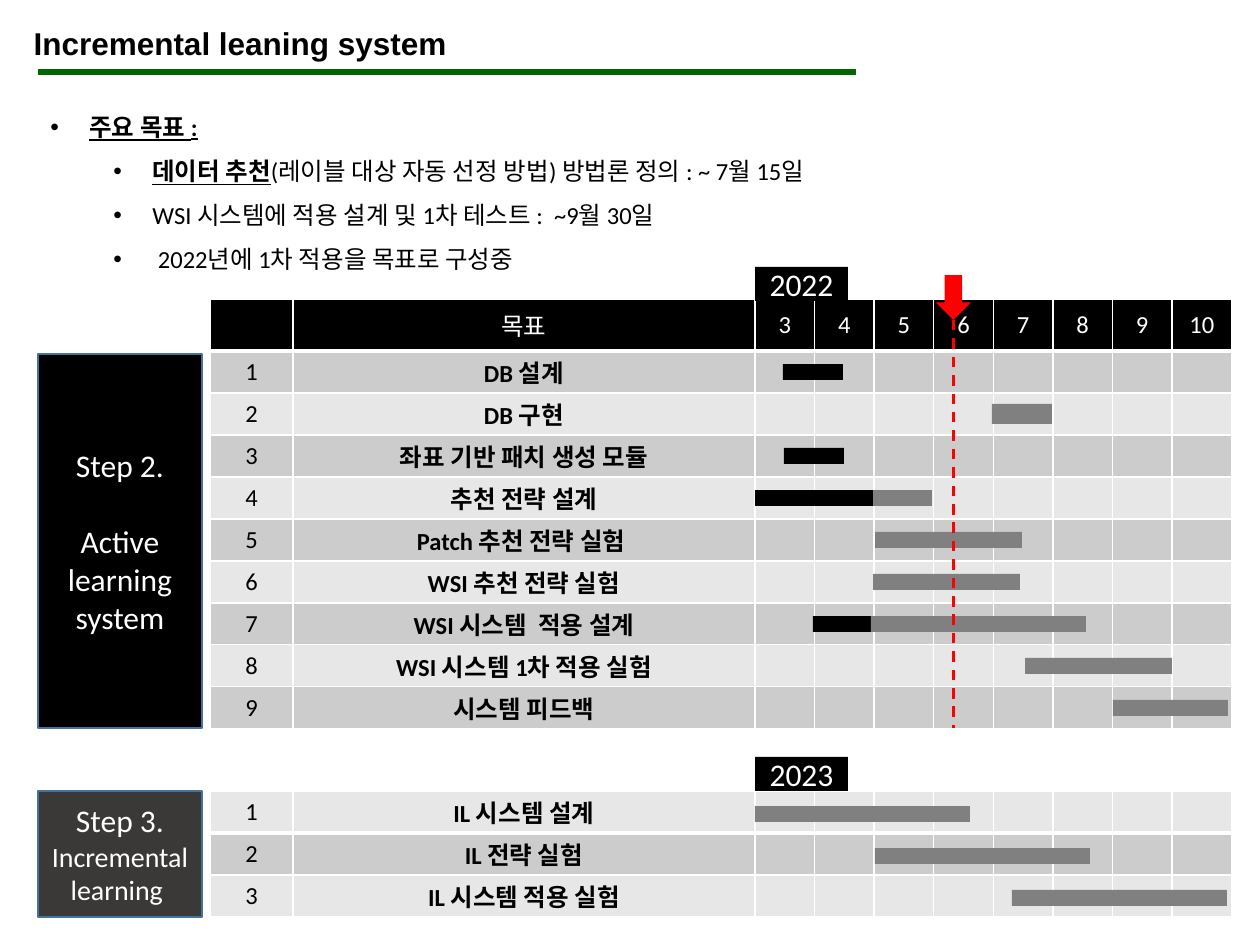
from dataclasses import dataclass

from lxml import etree
from pptx import Presentation
from pptx.dml.color import RGBColor
from pptx.enum.dml import MSO_LINE
from pptx.enum.shapes import MSO_CONNECTOR, MSO_SHAPE
from pptx.enum.text import MSO_ANCHOR, MSO_AUTO_SIZE, PP_ALIGN
from pptx.oxml.ns import qn
from pptx.util import Pt

RECT = MSO_SHAPE.RECTANGLE
ARROW = MSO_SHAPE.DOWN_ARROW
LINE = MSO_CONNECTOR.STRAIGHT
DASH = MSO_LINE.DASH
MIDDLE = MSO_ANCHOR.MIDDLE
FIXED = MSO_AUTO_SIZE.NONE
LEFT = PP_ALIGN.LEFT
CENTER = PP_ALIGN.CENTER
SCALE = 914400 / 126


@dataclass(frozen=True)
class Theme:
    head: str = "Arial"
    body: str = "Calibri"
    black: str = "000000"
    white: str = "FFFFFF"
    green: str = "006600"
    red: str = "FF0000"
    gray: str = "808080"
    dark: str = "3B3838"
    edge: str = "43739E"
    bands: tuple = ("CCCCCC", "E7E7E7")
    small: int = 14
    mid: int = 16
    large: int = 18


T = Theme()
COLS = [83, 462] + [477 / 8] * 8
ROW = 42
MONTHS = ["", "목표"] + [str(m) for m in range(3, 11)]
TASKS = ["DB 설계", "DB 구현", "좌표 기반 패치 생성 모듈", "추천 전략 설계",
         "Patch 추천 전략 실험 ", "WSI 추천 전략 실험", "WSI 시스템  적용 설계",
         "WSI 시스템 1차 적용 실험", "시스템 피드백"]
BARS = [(0, 28, 60, 16, T.black), (1, 237, 60, 20, T.gray),
        (2, 29, 60, 16, T.black), (3, 117, 60, 16, T.gray),
        (3, 0, 118, 16, T.black), (4, 120, 147, 16, T.gray),
        (5, 118, 147, 16, T.gray), (6, 58, 60, 16, T.black),
        (6, 116, 215, 16, T.gray), (7, 270, 147, 16, T.gray),
        (8, 358, 115, 16, T.gray)]
NEXT = ["IL 시스템 설계", "IL 전략 실험", "IL 시스템 적용 실험"]
LATER = [(row, x, 215, 16, T.gray) for row, x in enumerate((0, 120, 257))]
GOALS = [
    (0, [("주요 목표 :", True)]),
    (1, [("데이터 추천", True),
         ("(레이블 대상 자동 선정 방법) 방법론 정의 : ~ 7월 15일", False)]),
    (1, [("WSI 시스템에 적용 설계 및 1차 테스트 :  ~9월 30일", False)]),
    (1, [(" 2022년에 1차 적용을 목표로 구성중", False)]),
]


def px(n):
    return round(n * SCALE)


def place(*box):
    return [px(n) for n in box]


def style(run, size, color, bold=False, face=T.body):
    font = run.font
    font.name, font.size, font.bold = face, Pt(size), bold
    font.color.rgb = RGBColor.from_string(color)


def block(slide, box, fill, kind=RECT, edge=None):
    shape = slide.shapes.add_shape(kind, *place(*box))
    shape.shadow.inherit = False
    shape.fill.solid()
    shape.fill.fore_color.rgb = RGBColor.from_string(fill)
    if edge:
        shape.line.color.rgb = RGBColor.from_string(edge)
        shape.line.width = Pt(1)
    else:
        shape.line.fill.background()
    return shape


def label(shape, lines, gap=0):
    frame = shape.text_frame
    frame.word_wrap = True
    frame.vertical_anchor = MIDDLE
    frame.margin_top = frame.margin_bottom = 0
    frame.text = "\n".join(text for text, size in lines)
    for i, (para, (text, size)) in enumerate(zip(frame.paragraphs, lines)):
        para.alignment = CENTER
        if i and gap:
            para.space_before = Pt(gap)
        style(para.runs[0], size, T.white)


def rule(slide, ends, color, width):
    line = slide.shapes.add_connector(LINE, *place(*ends))
    line.line.color.rgb = RGBColor.from_string(color)
    line.line.width = Pt(width)
    etree.SubElement(line._element.spPr, qn("a:effectLst"))
    return line


def header(slide, x, y, w, h):
    title = slide.shapes.title
    title.left, title.top, title.width, title.height = place(x, y, w, h)
    frame = title.text_frame
    frame.auto_size = FIXED
    frame.vertical_anchor = MIDDLE
    frame.text = "Incremental leaning system"
    para = frame.paragraphs[0]
    para.alignment = LEFT
    style(para.runs[0], T.large, T.black, True, T.head)
    rule(slide, (x + 17, y + 54, x + 835, y + 54), T.green, 3)


def goals(slide, x, y, w, h):
    frame = slide.shapes.add_textbox(*place(x, y, w, h)).text_frame
    frame.word_wrap = True
    for i, (level, parts) in enumerate(GOALS):
        para = frame.add_paragraph() if i else frame.paragraphs[0]
        para.level = level
        para.line_spacing = 1.5
        props = para._p.get_or_add_pPr()
        props.set("marL", str(px(39 + 63 * level)))
        props.set("indent", str(px(-39)))
        etree.SubElement(props, qn("a:buFont"), typeface="Arial")
        etree.SubElement(props, qn("a:buChar"), char="•")
        for text, strong in parts:
            run = para.add_run()
            run.text = text
            style(run, T.small, T.black, strong)
            run.font.underline = strong


def frame_cell(cell, first):
    props = cell._tc.get_or_add_tcPr()
    for i, side in enumerate("LRTB"):
        width = 3 if first and side == "B" else 1
        line = etree.Element(qn(f"a:ln{side}"), w=str(Pt(width)))
        fill = etree.SubElement(line, qn("a:solidFill"))
        etree.SubElement(fill, qn("a:srgbClr"), val=T.white)
        props.insert(i, line)


def gantt(slide, x, y, tasks, bars, year, shift, drop, head=0):
    top = 1 if head else 0
    rows = [MONTHS] * top
    rows += [[str(i), task] + [""] * 8 for i, task in enumerate(tasks, 1)]
    tall = [head] * top + [ROW] * len(tasks)
    box = place(x, y, sum(COLS), sum(tall))
    grid = slide.shapes.add_table(len(rows), len(COLS), *box).table
    grid.first_row = grid.horz_banding = False
    for col, width in zip(grid.columns, COLS):
        col.width = px(width)
    for r, texts in enumerate(rows):
        grid.rows[r].height = px(tall[r])
        dark = r < top
        for c, text in enumerate(texts):
            cell = grid.cell(r, c)
            cell.fill.solid()
            shade = T.black if dark else T.bands[(r + shift) % 2]
            cell.fill.fore_color.rgb = RGBColor.from_string(shade)
            cell.vertical_anchor = MIDDLE
            cell.margin_top = cell.margin_bottom = 0
            frame_cell(cell, r == 0)
            if text:
                cell.text = text
                para = cell.text_frame.paragraphs[0]
                para.alignment = CENTER
                color = T.white if dark else T.black
                style(para.runs[0], T.small, color, c == 1 and not dark)
    start = x + sum(COLS[:2])
    for row, left, width, high, color in bars:
        mid = y + head + ROW * row + drop
        block(slide, (start + left, mid - high / 2, width, high), color)
    tag = block(slide, (start, y - 34 + (2 if head else 0), 93, 34), T.black)
    label(tag, [(year, T.large)])


def step(slide, x, y, w, h, fill, lines, gap=0):
    label(block(slide, (x, y, w, h), fill, edge=T.edge), lines, gap)


def today(slide, x, y, w, h):
    mid = x + w / 2
    rule(slide, (mid, y + 45, mid, y + h), T.red, 1.5).line.dash_style = DASH
    block(slide, (x, y, w, 45), T.red, ARROW)


def main():
    deck = Presentation()
    deck.slide_width, deck.slide_height = place(1260, 945)
    slide = deck.slides.add_slide(deck.slide_layouts[5])
    header(slide, 21, 18, 648, 50)
    goals(slide, 38, 91, 1084, 190)
    gantt(slide, 210, 299, TASKS, BARS, "2022", 1, 21, head=52)
    gantt(slide, 210, 791, NEXT, LATER, "2023", 1, 23)
    step(slide, 38, 354, 164, 374, T.black,
         [("Step 2.", T.large), ("Active learning system", T.large)], 22)
    step(slide, 38, 791, 164, 126, T.dark,
         [("Step 3.", T.large), ("Incremental learning ", T.mid)])
    today(slide, 936, 275, 35, 453)
    deck.save("out.pptx")


if __name__ == "__main__":
    main()
